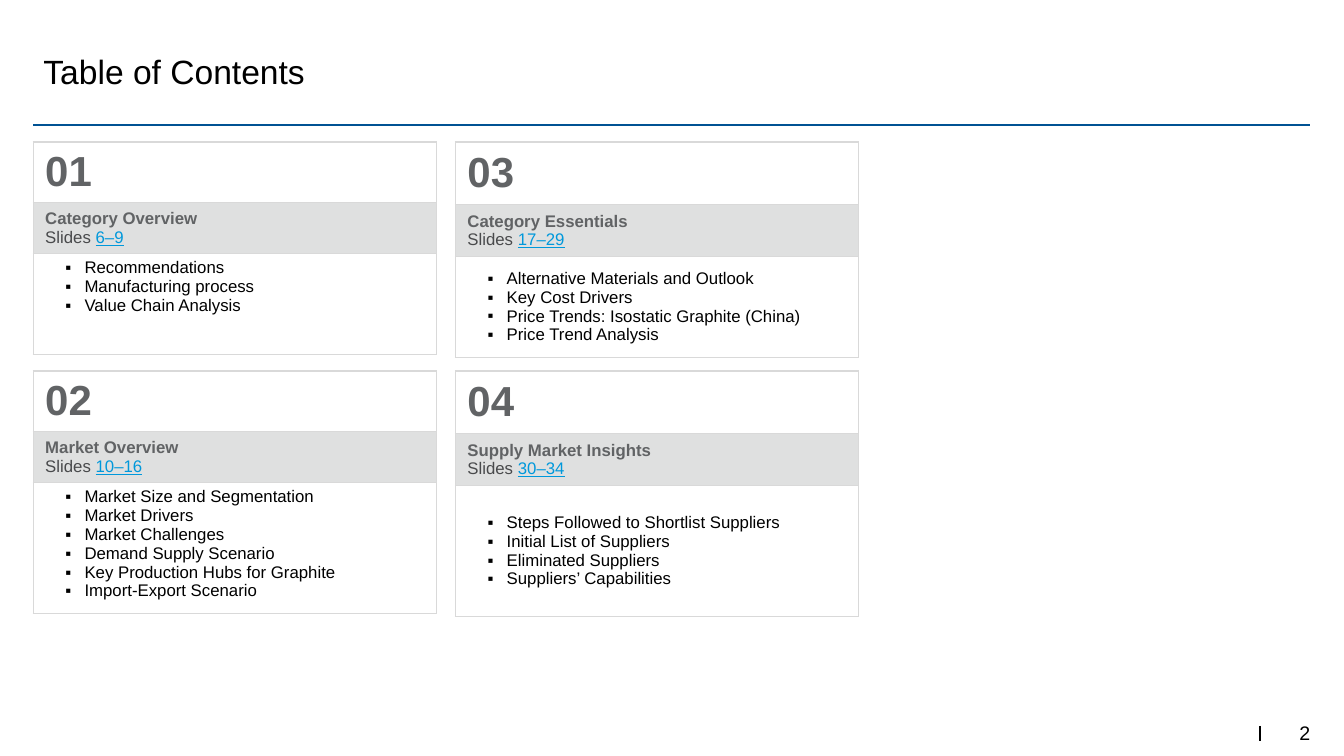
from lxml.etree import SubElement
from pptx import Presentation
from pptx.dml.color import RGBColor
from pptx.enum.shapes import MSO_CONNECTOR
from pptx.enum.text import MSO_ANCHOR, PP_ALIGN
from pptx.oxml.ns import qn
from pptx.util import Cm, Pt

TITLE = "Table of Contents"
PAGE_NUMBER = "2"
COLUMNS = [
    {
        "row_heights": (1.5, 1.24),
        "list_anchor": MSO_ANCHOR.TOP,
        "sections": [
            ("01", "Category Overview", "6–9",
             ["Recommendations", "Manufacturing process", "Value Chain Analysis"]),
            ("02", "Market Overview", "10–16",
             ["Market Size and Segmentation", "Market Drivers", "Market Challenges",
              "Demand Supply Scenario", "Key Production Hubs for Graphite",
              "Import-Export Scenario"]),
        ],
    },
    {
        "row_heights": (1.58, 1.3),
        "list_anchor": MSO_ANCHOR.MIDDLE,
        "sections": [
            ("03", "Category Essentials", "17–29",
             ["Alternative Materials and Outlook", "Key Cost Drivers",
              "Price Trends: Isostatic Graphite (China)", "Price Trend Analysis"]),
            ("04", "Supply Market Insights", "30–34",
             ["Steps Followed to Shortlist Suppliers", "Initial List of Suppliers",
              "Eliminated Suppliers", "Suppliers’ Capabilities"]),
        ],
    },
]

BLACK = RGBColor(0x00, 0x00, 0x00)
WHITE = RGBColor(0xFF, 0xFF, 0xFF)
HEADING_GREY = RGBColor(0x61, 0x63, 0x65)
TEXT_GREY = RGBColor(0x49, 0x4A, 0x4C)
BAND_GREY = RGBColor(0xDF, 0xE0, 0xE0)
BORDER_GREY = RGBColor(0xD9, 0xD9, 0xD9)
LINK_BLUE = RGBColor(0x00, 0x98, 0xDB)
RULE_BLUE = RGBColor(0x00, 0x52, 0x93)

FONT = "Arial"
LEFT, RIGHT = 0.84, 33.02
TABLE_WIDTH, COLUMN_STEP = 10.16, 10.64
TABLE_TOPS = (3.58, 9.35)
LIST_HEIGHTS = (2.54, 3.3)


def style(para, size, color, bold=False):
    para.font.name = FONT
    para.font.size = Pt(size)
    para.font.bold = bold
    para.font.color.rgb = color


def add_line(page, start, end, color, width):
    line = page.shapes.add_connector(
        MSO_CONNECTOR.STRAIGHT, *(Cm(value) for value in start + end))
    line.line.color.rgb = color
    line.line.width = Pt(width)
    SubElement(line.element.spPr, qn("a:effectLst"))


def format_cell(cell, color, anchor):
    properties = cell._tc.get_or_add_tcPr()
    for side in ("lnL", "lnR", "lnT", "lnB"):
        border = SubElement(properties, qn(f"a:{side}"), w=str(Pt(1)))
        fill = SubElement(border, qn("a:solidFill"))
        SubElement(fill, qn("a:srgbClr"), val=str(BORDER_GREY))
    cell.fill.solid()
    cell.fill.fore_color.rgb = color
    cell.vertical_anchor = anchor
    cell.margin_left = cell.margin_right = Cm(0.3)
    cell.margin_top = cell.margin_bottom = Cm(0.13)


def write_heading(cell, heading, slides):
    para = cell.text_frame.paragraphs[0]
    para.text = heading
    style(para, 12, HEADING_GREY, True)
    para = cell.text_frame.add_paragraph()
    style(para, 12, TEXT_GREY)
    para.add_run().text = "Slides "
    span = para.add_run()
    span.text = slides
    span.font.underline = True
    span.font.color.rgb = LINK_BLUE


def write_list(cell, items):
    cell.text_frame.text = "\n".join(items)
    for para in cell.text_frame.paragraphs:
        properties = para._p.get_or_add_pPr()
        properties.set("marL", str(Cm(0.99)))
        properties.set("indent", str(-Cm(0.48)))
        SubElement(properties, qn("a:buFont"), typeface=FONT)
        SubElement(properties, qn("a:buChar"), char="▪")
        style(para, 12, BLACK)


def add_section(page, left, top, heights, list_anchor, section):
    number, heading, slides, items = section
    table = page.shapes.add_table(
        3, 1, Cm(left), Cm(top), Cm(TABLE_WIDTH), Cm(sum(heights))).table
    table.first_row = table.horz_banding = False
    for row, height in zip(table.rows, heights):
        row.height = Cm(height)
    number_cell, heading_cell, list_cell = (table.cell(row, 0) for row in range(3))
    format_cell(number_cell, WHITE, MSO_ANCHOR.MIDDLE)
    format_cell(heading_cell, BAND_GREY, MSO_ANCHOR.MIDDLE)
    format_cell(list_cell, WHITE, list_anchor)
    number_cell.text = number
    style(number_cell.text_frame.paragraphs[0], 30, HEADING_GREY, True)
    write_heading(heading_cell, heading, slides)
    write_list(list_cell, items)


def add_title(page):
    title = page.shapes.title
    title.left, title.top = Cm(LEFT), Cm(0.51)
    title.width, title.height = Cm(RIGHT - LEFT), Cm(2.54)
    title.text = TITLE
    title.text_frame.vertical_anchor = MSO_ANCHOR.MIDDLE
    para = title.text_frame.paragraphs[0]
    para.alignment = PP_ALIGN.LEFT
    style(para, 24, BLACK)


def add_page_number(page):
    box = page.shapes.add_textbox(Cm(31.29), Cm(18.08), Cm(1.73), Cm(0.74))
    frame = box.text_frame
    frame.word_wrap = True
    frame.vertical_anchor = MSO_ANCHOR.MIDDLE
    frame.margin_left = frame.margin_right = 0
    frame.margin_top = frame.margin_bottom = Cm(0.18)
    para = frame.paragraphs[0]
    para.text = PAGE_NUMBER
    para.alignment = PP_ALIGN.RIGHT
    style(para, 14, BLACK)


def main():
    deck = Presentation()
    deck.slide_width, deck.slide_height = Cm(33.87), Cm(19.05)
    page = deck.slides.add_slide(deck.slide_layouts[5])
    add_line(page, (LEFT, 3.15), (RIGHT, 3.15), RULE_BLUE, 0.75)
    add_page_number(page)
    add_line(page, (31.75, 18.29), (31.75, 18.67), BLACK, 1)
    add_title(page)
    for index, column in enumerate(COLUMNS):
        left = LEFT + index * COLUMN_STEP
        for section, top, list_height in zip(column["sections"], TABLE_TOPS, LIST_HEIGHTS):
            heights = (*column["row_heights"], list_height)
            add_section(page, left, top, heights, column["list_anchor"], section)
    deck.save("out.pptx")


if __name__ == "__main__":
    main()
